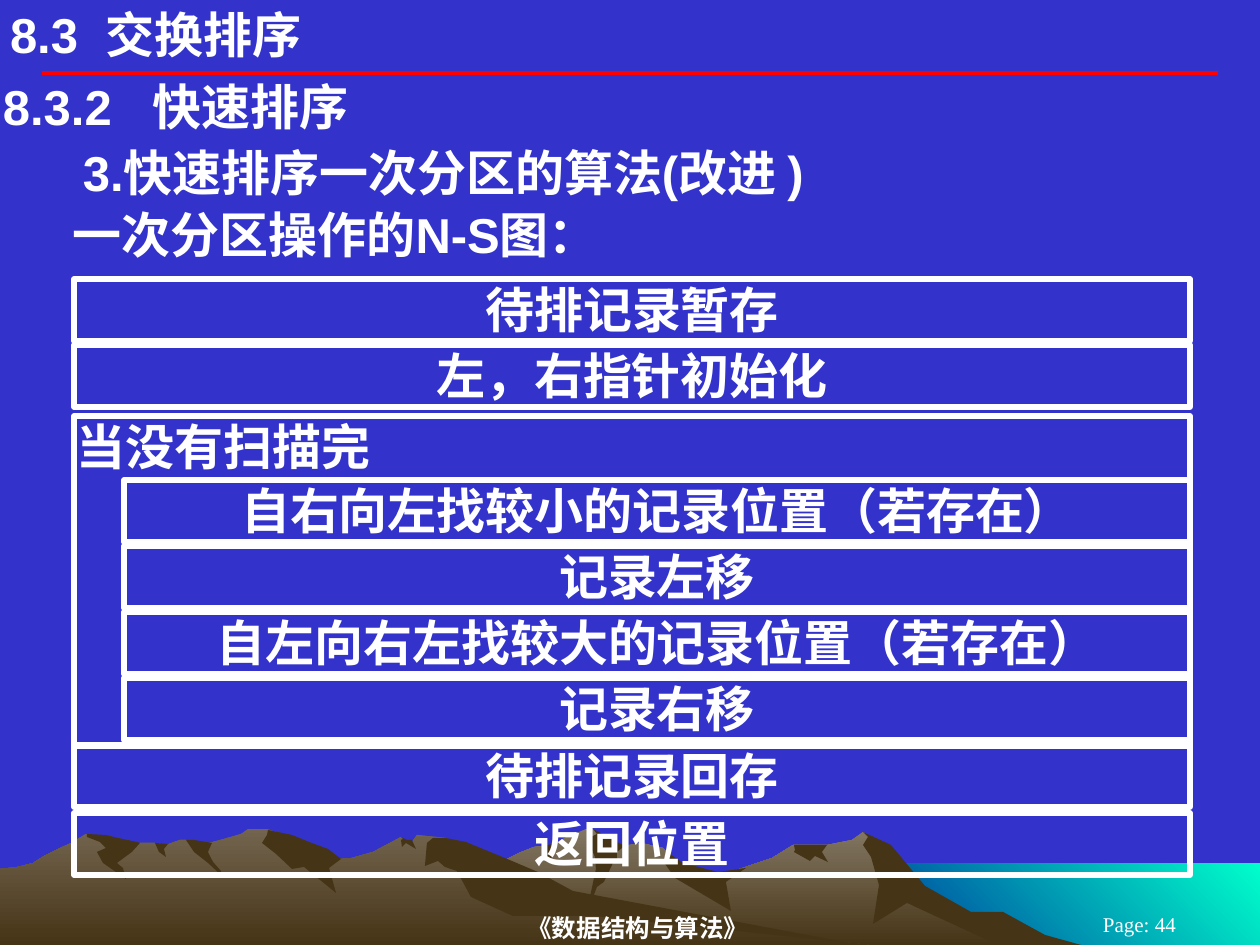
import pptx
import pptx.util
from pptx.dml.color import RGBColor
from pptx.enum.shapes import MSO_CONNECTOR, MSO_SHAPE
from pptx.enum.text import MSO_ANCHOR, MSO_AUTO_SIZE, PP_ALIGN
from pptx.oxml.ns import qn
import lxml.etree

PX = 914400 / 126
BLUE = RGBColor(0x33, 0x33, 0xCC)
WHITE = RGBColor(0xFF, 0xFF, 0xFF)
RED = RGBColor(0xFF, 0x00, 0x00)
AQUA = RGBColor(0x00, 0xFF, 0xCC)
NAVY = RGBColor(0x00, 0x33, 0x99)
BROWN = RGBColor(0x46, 0x34, 0x16)
TAUPE = RGBColor(0x83, 0x77, 0x63)
UMBER = RGBColor(0x72, 0x64, 0x4E)

# Landscape outlines in px
WATER = [(861, 863), (1260, 863), (1260, 945), (861, 945)]
FAR_RIDGE = [
    (1011, 932), (980, 916), (963, 911), (911, 879), (885, 845), (863, 832),
    (852, 840), (827, 845), (793, 845), (772, 858), (713, 878), (675, 869),
    (667, 852), (663, 848), (641, 843), (612, 848), (597, 833), (593, 829),
    (586, 829), (567, 837), (552, 845), (534, 847), (519, 853), (503, 861),
    (447, 879), (412, 893), (349, 931), (325, 945), (1034, 945)]
NEAR_RIDGE = [
    (869, 945), (840, 942), (544, 897), (446, 838), (417, 835), (412, 842),
    (407, 842), (401, 837), (373, 852), (352, 858), (341, 859), (328, 852),
    (297, 858), (281, 835), (276, 832), (267, 829), (248, 829), (241, 834),
    (224, 839), (202, 845), (186, 840), (180, 840), (166, 845), (155, 843),
    (140, 843), (118, 845), (86, 834), (71, 843), (58, 849), (44, 856),
    (33, 863), (18, 867), (0, 869), (0, 945)]
FAR_SHADOWS = [
    [(1003, 912), (971, 912), (925, 886), (891, 845), (863, 832), (868, 837),
     (863, 845), (871, 857), (879, 885), (873, 924), (907, 903), (998, 945),
     (1081, 945), (1045, 935)],
    [(593, 829), (597, 834), (591, 837), (590, 845), (595, 857), (596, 869),
     (586, 916), (597, 887), (604, 882), (614, 861), (617, 859), (617, 852),
     (626, 845), (621, 844)],
    [(667, 852), (663, 861), (675, 878), (731, 911), (726, 882), (746, 868),
     (718, 872), (683, 863)],
    [(819, 845), (794, 845), (795, 850), (794, 852), (810, 861), (815, 856),
     (828, 862), (822, 852), (827, 845)],
    [(546, 853), (544, 848), (547, 845), (553, 844), (551, 848), (553, 856),
     (547, 862)]]
NEAR_SHADOWS = [
    [(267, 835), (262, 843), (276, 854), (292, 869), (304, 867), (336, 893),
     (329, 868), (341, 859), (328, 849), (309, 842), (292, 835), (268, 830)],
    [(466, 842), (446, 838), (433, 838), (427, 843), (425, 866), (438, 861),
     (445, 867), (457, 871), (471, 897), (513, 916), (595, 916), (869, 945),
     (861, 945), (573, 891), (538, 872), (505, 858)],
    [(401, 840), (403, 839), (401, 837), (407, 840), (412, 840), (416, 849),
     (406, 843), (402, 847)],
    [(194, 840), (212, 843), (208, 852), (213, 862), (221, 871), (222, 876),
     (208, 863), (194, 852), (186, 840)],
    [(168, 844), (164, 849), (166, 857), (159, 852), (155, 843)],
    [(137, 842), (140, 843), (132, 852), (117, 863), (123, 868), (126, 879),
     (103, 863), (97, 852), (106, 848), (100, 842), (87, 837), (87, 834),
     (106, 835), (118, 838)]]


def px(n):
    return round(n * PX)


def add_outline(s, points, top, bottom=None, angle=270):
    """Filled freeform; a second colour makes it a gradient."""
    fb = s.shapes.build_freeform(*points[0], scale=PX)
    fb.add_line_segments(points[1:], close=True)
    sp = fb.convert_to_shape()
    sp.shadow.inherit = False
    sp.line.fill.background()
    if bottom is None:
        sp.fill.solid()
        sp.fill.fore_color.rgb = top
        return
    sp.fill.gradient()
    sp.fill.gradient_angle = angle
    for stop, position, color in zip(sp.fill.gradient_stops, (0, 1), (top, bottom)):
        stop.position = position
        stop.color.rgb = color


def set_text(sp, text, size=28, font="Arial", bold=True, align=PP_ALIGN.LEFT,
             anchor=MSO_ANCHOR.TOP, inset=(3, 1), indent=0):
    tf = sp.text_frame
    tf.text = text
    tf.word_wrap = True
    tf.auto_size = MSO_AUTO_SIZE.NONE
    tf.vertical_anchor = anchor
    tf.margin_left = px(inset[0] + indent)
    tf.margin_right = px(inset[0])
    tf.margin_top = tf.margin_bottom = px(inset[1])
    p = tf.paragraphs[0]
    p.alignment = align
    r = p.runs[0]
    r.font.size = pptx.util.Pt(size)
    r.font.name = font
    r.font.bold = bold
    r.font.color.rgb = WHITE


def add_label(s, x, y, w, h, text, **style):
    set_text(s.shapes.add_textbox(px(x), px(y), px(w), px(h)), text, **style)


def add_box(s, x, y, w, h, text, align=PP_ALIGN.CENTER):
    sp = s.shapes.add_shape(MSO_SHAPE.RECTANGLE, px(x), px(y), px(w), px(h))
    sp.shadow.inherit = False
    sp.fill.background()
    sp.line.color.rgb = WHITE
    sp.line.width = pptx.util.Pt(3)
    set_text(sp, text, align=align)


def add_rule(s, x1, x2, y):
    line = s.shapes.add_connector(MSO_CONNECTOR.STRAIGHT, px(x1), px(y), px(x2), px(y))
    line.line.color.rgb = RED
    line.line.width = pptx.util.Pt(2.25)
    lxml.etree.SubElement(line._element.spPr, qn("a:effectLst"))


def add_landscape(s):
    add_outline(s, WATER, AQUA, NAVY, angle=225)
    for ridge, light, shadows in ((FAR_RIDGE, TAUPE, FAR_SHADOWS),
                                  (NEAR_RIDGE, UMBER, NEAR_SHADOWS)):
        add_outline(s, ridge, light, BROWN)
        for shadow in shadows:
            add_outline(s, shadow, BROWN)


def add_title(s, text):
    sp = s.shapes.title
    sp.left, sp.top, sp.width, sp.height = px(10), px(4), px(819), px(59)
    set_text(sp, text, inset=(0, 0))


def add_ns_diagram(s):
    outer, inner, h = (74, 1116), (124, 1066), 62
    for y, text in ((279, "待排记录暂存"), (345, "左，右指针初始化")):
        add_box(s, outer[0], y, outer[1], h, text)
    # Loop with its body
    add_box(s, outer[0], 416, outer[1], 330, "当没有扫描完", PP_ALIGN.LEFT)
    body = ("自右向左找较小的记录位置（若存在）", "记录左移",
            "自左向右左找较大的记录位置（若存在）", "记录右移")
    for i, text in enumerate(body):
        add_box(s, inner[0], 480 + 66 * i, inner[1], h, text)
    for y, text in ((745, "待排记录回存"), (813, "返回位置")):
        add_box(s, outer[0], y, outer[1], h, text)


def main():
    prs = pptx.Presentation()
    prs.slide_width, prs.slide_height = px(1260), px(945)
    s = prs.slides.add_slide(prs.slide_layouts[5])
    s.background.fill.solid()
    s.background.fill.fore_color.rgb = BLUE

    add_landscape(s)
    add_rule(s, 42, 1218, 73)

    # Footer
    add_label(s, 256, 910, 764, 35, "《数据结构与算法》", size=14, font="Times New Roman",
              align=PP_ALIGN.CENTER, anchor=MSO_ANCHOR.MIDDLE, inset=(0, 1))
    add_label(s, 1040, 914, 199, 21, "Page: 44", size=12, font="Times New Roman",
              bold=False, align=PP_ALIGN.CENTER, anchor=MSO_ANCHOR.MIDDLE, inset=(13, 6))

    # Headings
    add_title(s, "8.3  交换排序")
    add_label(s, 0, 76, 1260, 62, "8.3.2   快速排序")
    add_label(s, 0, 142, 1260, 62, "3.快速排序一次分区的算法(改进 )", indent=80)
    add_label(s, 0, 204, 1260, 62, "一次分区操作的N-S图：", indent=70)

    add_ns_diagram(s)
    prs.save("out.pptx")


if __name__ == "__main__":
    main()
